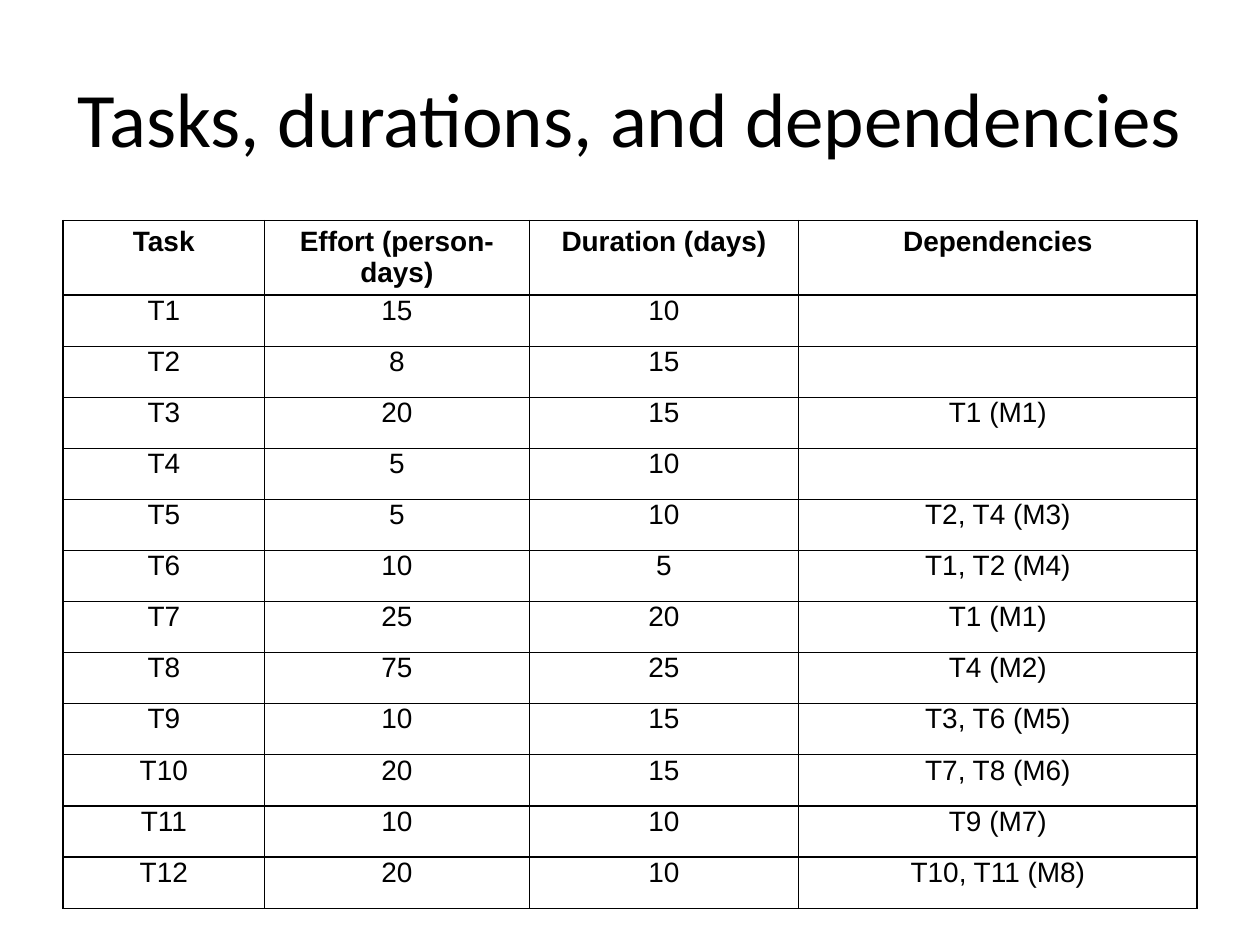
from lxml import etree
from pptx import Presentation
from pptx.dml.color import RGBColor
from pptx.enum.text import MSO_ANCHOR, PP_ALIGN
from pptx.oxml.ns import qn
from pptx.util import Pt

CENTER = PP_ALIGN.CENTER
MIDDLE = MSO_ANCHOR.MIDDLE
TOP = MSO_ANCHOR.TOP
BLACK = "000000"

HEAD = ("Task", "Effort (person-days)", "Duration (days)", "Dependencies")
TASKS = (
    ("T1", "15", "10", ""),
    ("T2", "8", "15", ""),
    ("T3", "20", "15", "T1 (M1)"),
    ("T4", "5", "10", ""),
    ("T5", "5", "10", "T2, T4 (M3)"),
    ("T6", "10", "5", "T1, T2 (M4)"),
    ("T7", "25", "20", "T1 (M1)"),
    ("T8", "75", "25", "T4 (M2)"),
    ("T9", "10", "15", "T3, T6 (M5)"),
    ("T10", "20", "15", "T7, T8 (M6)"),
    ("T11", "10", "10", "T9 (M7)"),
    ("T12", "20", "10", "T10, T11 (M8)"),
)
COLS = (115.2, 151.2, 154.1, 227.5)
HEAD_HIGH = 42.6
ROW_HIGH = 29.2


def color(code):
    return RGBColor.from_string(code)


def write(frame, text, size=16, font="Arial", bold=False, fill=BLACK, align=CENTER):
    para = frame.paragraphs[0]
    para.alignment = align
    run = para.add_run()
    run.text = text
    run.font.size = Pt(size)
    run.font.name = font
    run.font.bold = bold
    run.font.color.rgb = color(fill)


def edge(cell, side, width, code=BLACK):
    """Draw one border; call before the cell's fill is set."""
    props = cell._tc.get_or_add_tcPr()
    line = etree.SubElement(props, qn(f"a:ln{side}"), w=str(Pt(width)))
    solid = etree.SubElement(line, qn("a:solidFill"))
    etree.SubElement(solid, qn("a:srgbClr"), val=code)


def add_title(slide, left, top, width, height):
    title = slide.shapes.title
    title.left, title.top = Pt(left), Pt(top)
    title.width, title.height = Pt(width), Pt(height)
    title.text_frame.vertical_anchor = MIDDLE
    write(title.text_frame, "Tasks, durations, and dependencies", size=44, font="Calibri")


def style(cell, first, last, head):
    """Set a cell's margins, borders and fill."""
    cell.margin_left = cell.margin_right = Pt(4.5)
    cell.margin_top = Pt(3.5 if head else 0)
    cell.margin_bottom = Pt(3.5)
    cell.vertical_anchor = TOP
    edge(cell, "L", 1 if first else 0.75)
    edge(cell, "R", 1 if last else 0.75)
    edge(cell, "T", 0.75)
    edge(cell, "B", 0.75)
    cell.fill.background()


def add_tasks(slide, left, top):
    rows = (HEAD, *TASKS)
    high = HEAD_HIGH + ROW_HIGH * len(TASKS)
    table = slide.shapes.add_table(
        len(rows), len(COLS), Pt(left), Pt(top), Pt(sum(COLS)), Pt(high)
    ).table
    table.horz_banding = False
    for col, width in zip(table.columns, COLS):
        col.width = Pt(width)
    for r, texts in enumerate(rows):
        head = r == 0
        table.rows[r].height = Pt(HEAD_HIGH if head else ROW_HIGH)
        for c, text in enumerate(texts):
            cell = table.cell(r, c)
            style(cell, c == 0, c == len(COLS) - 1, head)
            if text:
                write(cell.text_frame, text, bold=head)


def main():
    deck = Presentation()
    deck.slide_width, deck.slide_height = Pt(720), Pt(540)
    slide = deck.slides.add_slide(deck.slide_layouts[5])
    add_title(slide, 36, 21.6, 648, 90)
    add_tasks(slide, 36, 126)
    deck.save("out.pptx")


if __name__ == "__main__":
    main()
